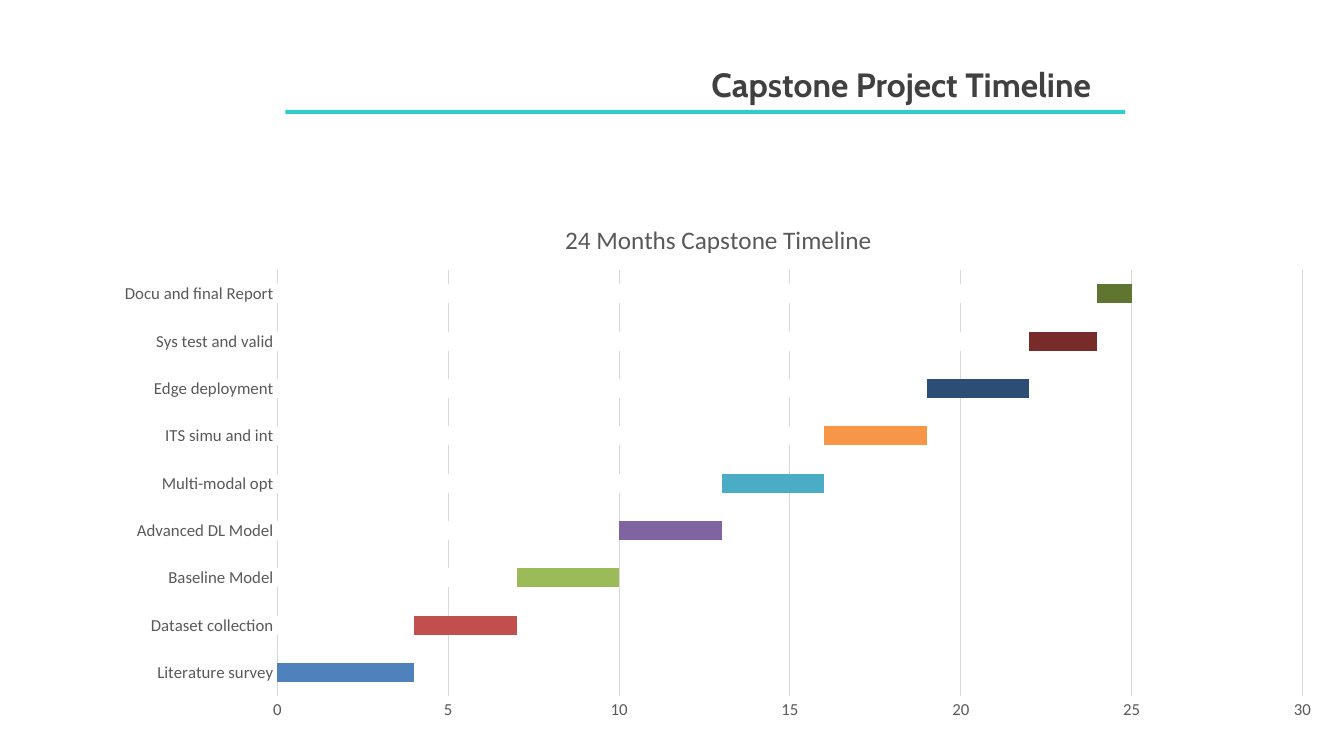
from dataclasses import dataclass

from lxml.etree import SubElement
from pptx import Presentation
from pptx.chart.data import CategoryChartData
from pptx.dml.color import RGBColor
from pptx.enum.chart import XL_CHART_TYPE as ChartType, XL_TICK_MARK as TickMark
from pptx.enum.shapes import MSO_SHAPE as Shape
from pptx.enum.text import MSO_ANCHOR as Anchor, MSO_AUTO_SIZE as AutoSize, PP_ALIGN as Align
from pptx.oxml import parse_xml
from pptx.oxml.ns import nsdecls, qn
from pptx.util import Inches, Pt

WHITE, GRID, GREY = "FFFFFF", "D9D9D9", "595959"


@dataclass
class Task:
    name: str
    months: int
    colour: str


TASKS = [
    Task("Literature survey", 4, "4F81BD"),
    Task("Dataset collection", 3, "C0504D"),
    Task("Baseline Model", 3, "9BBB59"),
    Task("Advanced DL Model", 3, "8064A2"),
    Task("Multi-modal opt", 3, "4BACC6"),
    Task("ITS simu and int", 3, "F79646"),
    Task("Edge deployment", 3, "2C4D75"),
    Task("Sys test and valid", 2, "772C2A"),
    Task("Docu and final Report", 1, "5F7530"),
]


def rgb(colour: str) -> RGBColor:
    return RGBColor.from_string(colour)


def paint(fill, colour: str) -> None:
    fill.solid()
    fill.fore_color.rgb = rgb(colour)


def set_font(font, colour: str, **values) -> None:
    for name, value in values.items():
        setattr(font, name, value)
    font.color.rgb = rgb(colour)


def place(shape, left: float, top: float, width: float, height: float) -> None:
    box = {"left": left, "top": top, "width": width, "height": height}
    for name, value in box.items():
        setattr(shape, name, Inches(value))


def add_heading(page) -> None:
    rule = page.shapes.add_shape(
        Shape.RECTANGLE, Inches(2.83), Inches(1.09), Inches(8.33), Inches(0.04))
    rule.shadow.inherit = False
    paint(rule.fill, "33CCCC")
    rule.line.fill.background()

    title = page.shapes.title
    place(title, 2.42, 0.58, 8.5, 0.5)
    frame = title.text_frame
    frame.word_wrap = True
    frame.auto_size = AutoSize.SHAPE_TO_FIT_TEXT
    frame.vertical_anchor = Anchor.MIDDLE
    para = frame.paragraphs[0]
    para.alignment = Align.RIGHT
    span = para.add_run()
    span.text = "Capstone Project Timeline"
    set_font(span.font, "404040", name="Cabin", size=Pt(24), bold=True)


def timeline_data() -> CategoryChartData:
    # Each task's months also offset every later task
    data = CategoryChartData()
    data.categories = [task.name for task in TASKS]
    for step, task in enumerate(TASKS):
        data.add_series(f"Series {step + 1}",
                        [0] * step + [task.months] * (len(TASKS) - step))
    data.add_series(f"Series {len(TASKS) + 1}", [None] * len(TASKS))
    return data


def format_axis(axis) -> None:
    axis.major_tick_mark = axis.minor_tick_mark = TickMark.NONE
    set_font(axis.tick_labels.font, GREY, name="Calibri", size=Pt(12), bold=False)


def format_plot_area(chart) -> None:
    area = chart._chartSpace.find(".//" + qn("c:plotArea"))
    layout = area.find(qn("c:layout"))
    if layout is None:
        layout = parse_xml(f"<c:layout {nsdecls('c')}/>")
        area.insert(0, layout)
    manual = SubElement(layout, qn("c:manualLayout"))
    values = {"layoutTarget": "inner", "xMode": "edge", "yMode": "edge",
              "x": "0.143", "y": "0.13", "w": "0.83", "h": "0.805"}
    for name, value in values.items():
        SubElement(manual, qn(f"c:{name}")).set("val", value)
    area.append(parse_xml(
        f'<c:spPr {nsdecls("c", "a")}><a:solidFill><a:srgbClr val="{WHITE}"/>'
        "</a:solidFill></c:spPr>"))


def add_timeline(page) -> None:
    chart = page.shapes.add_chart(
        ChartType.BAR_STACKED, Inches(1), Inches(2), Inches(12.25), Inches(5.25),
        timeline_data()).chart
    chart.has_legend = False
    set_font(chart.font, "000000", name="Calibri", size=Pt(10))

    # Chart title
    chart.has_title = True
    chart.chart_title.include_in_layout = False
    span = chart.chart_title.text_frame.paragraphs[0].add_run()
    span.text = "24 Months Capstone Timeline"
    set_font(span.font, GREY, name="Calibri", size=Pt(18), bold=False)

    # Axes and grid
    tasks, months = chart.category_axis, chart.value_axis
    for axis in (tasks, months):
        format_axis(axis)
    months.minimum_scale, months.maximum_scale, months.major_unit = 0, 30, 5
    months.has_major_gridlines = True
    months.format.line.fill.background()
    for line in (tasks.format.line, months.major_gridlines.format.line):
        line.color.rgb = rgb(GRID)
        line.width = Pt(0.75)

    # Bars: coloured at the task itself, white where they are an offset
    plot = chart.plots[0]
    plot.gap_width, plot.overlap, plot.vary_by_categories = 150, 100, False
    colours = [task.colour for task in TASKS] + ["4D3B62"]
    for step, (series, colour) in enumerate(zip(plot.series, colours)):
        series.invert_if_negative = False
        paint(series.format.fill, colour)
        for later in range(step + 1, len(TASKS)):
            paint(series.points[later].format.fill, WHITE)
    format_plot_area(chart)


def main() -> None:
    deck = Presentation()
    deck.slide_width, deck.slide_height = Inches(13.33), Inches(7.5)
    page = deck.slides.add_slide(deck.slide_layouts[5])
    paint(page.background.fill, WHITE)
    add_heading(page)
    add_timeline(page)
    deck.save("out.pptx")


if __name__ == "__main__":
    main()
